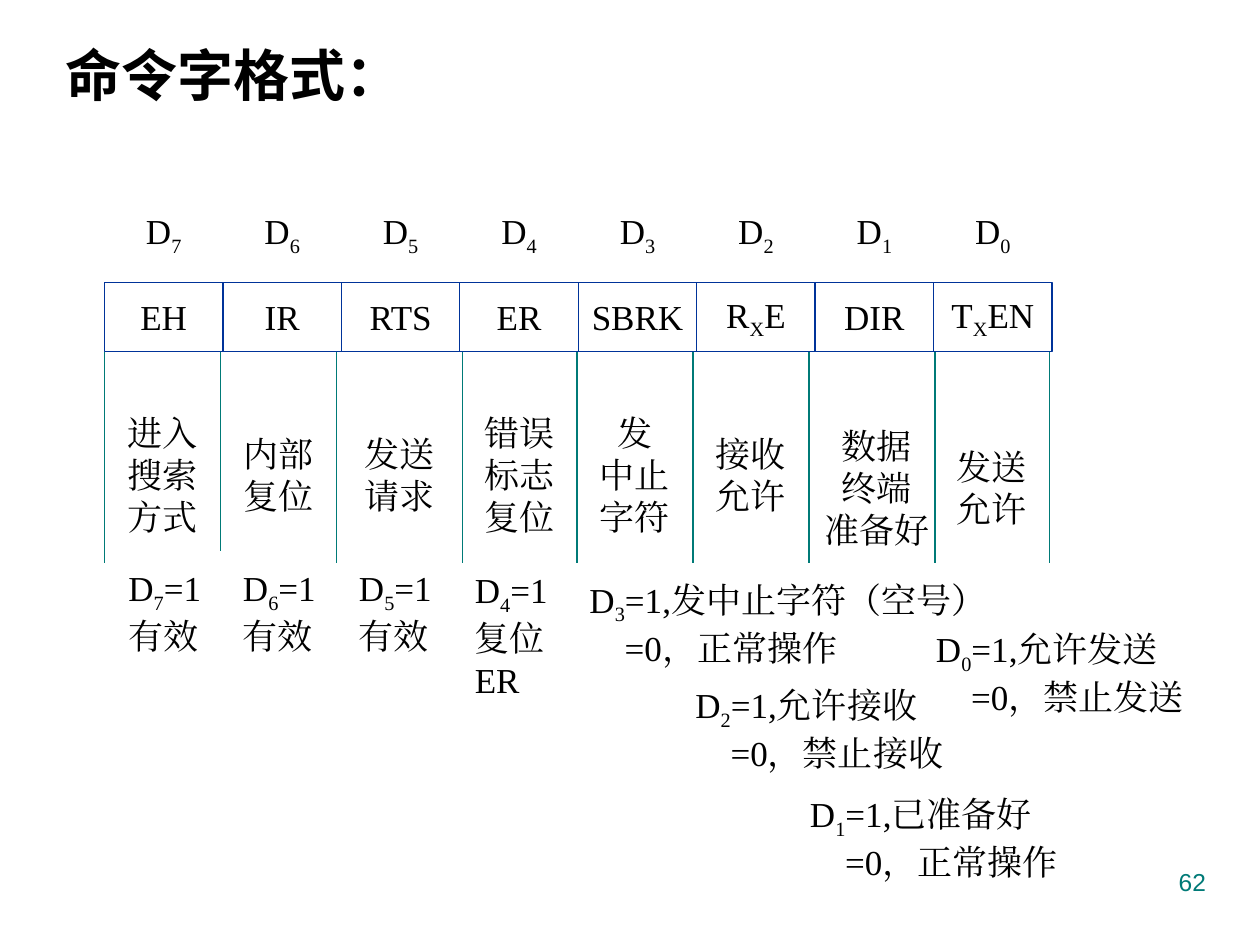
from pptx import Presentation
from pptx.dml.color import RGBColor
from pptx.enum.shapes import MSO_CONNECTOR, MSO_SHAPE
from pptx.enum.text import MSO_ANCHOR, MSO_AUTO_SIZE, PP_ALIGN
from pptx.oxml.ns import qn
from pptx.util import Inches, Pt
from lxml.etree import SubElement

BLACK = RGBColor(0x00, 0x00, 0x00)
BLUE = RGBColor(0x00, 0x33, 0x99)
TEAL = RGBColor(0x00, 0x7A, 0x77)
SERIF = "Times New Roman"
SANS = "Noto Sans CJK SC"

# Register cells
LEFT, CELL_WIDTH, CELL_HEIGHT = 0.83, 0.94, 0.55
BIT_TOP, CELL_TOP = 1.58, 2.24
FIELDS = ["EH", "IR", "RTS", "ER", "SBRK", "R_XE", "DIR", "T_XEN"]

# Separators below the register: x and lower end
SEPARATOR_TOP = 2.79
SEPARATORS = [(0.83, 4.47), (1.75, 4.37), (2.67, 4.47), (3.67, 4.47), (4.58, 4.47),
              (5.5, 4.47), (6.42, 4.47), (7.42, 4.47), (8.33, 4.47)]

# Meaning of each bit: left, top, lines
MEANINGS = [
    (1.0, 3.27, ["进入", "搜索", "方式"]),
    (1.92, 3.27, ["内部", "复位"]),
    (2.88, 3.27, ["发送", "请求"]),
    (3.83, 3.27, ["错误", "标志", "复位"]),
    (4.75, 3.27, ["发", "中止", "字符"]),
    (5.67, 3.27, ["接收", "允许"]),
    (6.67, 3.37, ["数据", "终端", "准备好"]),
    (7.58, 3.37, ["发送", "允许"]),
]

# Values of each bit: left, top, width, height, lines
VALUES = [
    (0.92, 4.55, 0.75, 0.61, ["D_7=1", "有效"]),
    (1.83, 4.55, 0.75, 0.61, ["D_6=1", "有效"]),
    (2.75, 4.55, 0.75, 0.61, ["D_5=1", "有效"]),
    (3.67, 4.64, 0.75, 0.79, ["D_4=1", "复位", "ER"]),
    (4.58, 4.64, 0.75, 0.61, ["D_3=1,发中止字符（空号）", "=0，正常操作"]),
    (5.42, 5.43, 1.92, 0.7, ["D_2=1,允许接收", "=0，禁止接收"]),
    (7.33, 4.99, 1.92, 0.7, ["D_0=1,允许发送", "=0，禁止发送"]),
    (6.33, 6.3, 1.92, 0.7, ["D_1=1,已准备好", "=0，正常操作"]),
]


def add_span(para, text, size=20, font=SERIF, color=BLACK, bold=False, subscript=False):
    span = para.add_run()
    span.text = text
    span.font.size = Pt(size)
    span.font.name = font
    span.font.bold = bold
    span.font.color.rgb = color
    properties = span._r.get_or_add_rPr()
    SubElement(properties, qn("a:ea")).set("typeface", font)
    if subscript:
        properties.set("baseline", "-25000")


def write_lines(frame, lines, align=PP_ALIGN.LEFT, anchor=MSO_ANCHOR.MIDDLE,
                wrap=False, **style):
    """Fill a text frame; the letter after an underscore becomes a subscript."""
    frame.word_wrap = wrap
    frame.auto_size = MSO_AUTO_SIZE.NONE
    frame.vertical_anchor = anchor
    for number, line in enumerate(lines):
        para = frame.paragraphs[0] if number == 0 else frame.add_paragraph()
        para.alignment = align
        if line.startswith("="):  # stands under the equals sign above
            properties = para._p.get_or_add_pPr()
            properties.set("marL", str(Inches(0.28)))
            properties.set("indent", "0")
        normal, *marked = line.split("_")
        add_span(para, normal, **style)
        for part in marked:
            add_span(para, part[0], subscript=True, **style)
            if part[1:]:
                add_span(para, part[1:], **style)


def add_text(page, left, top, width, height, lines, **style):
    box = page.shapes.add_textbox(Inches(left), Inches(top), Inches(width), Inches(height))
    write_lines(box.text_frame, lines, **style)


def add_cell(page, left, top, text):
    cell = page.shapes.add_shape(MSO_SHAPE.RECTANGLE, Inches(left), Inches(top),
                                 Inches(CELL_WIDTH), Inches(CELL_HEIGHT))
    cell.shadow.inherit = False
    cell.fill.background()
    cell.line.color.rgb = BLUE
    cell.line.width = Pt(0.75)
    write_lines(cell.text_frame, [text], align=PP_ALIGN.CENTER)


def add_separator(page, x, bottom):
    line = page.shapes.add_connector(MSO_CONNECTOR.STRAIGHT, Inches(x), Inches(SEPARATOR_TOP),
                                     Inches(x), Inches(bottom))
    line.line.color.rgb = TEAL
    line.line.width = Pt(0.75)
    SubElement(line._element.spPr, qn("a:effectLst"))


def set_title(page, text):
    title = page.shapes.title
    title.left, title.top = Inches(0.42), Inches(0.33)
    title.width, title.height = Inches(9.58), Inches(0.58)
    write_lines(title.text_frame, [text], anchor=MSO_ANCHOR.TOP, wrap=True,
                size=32, font=SANS, bold=True)
    para = title.text_frame.paragraphs[0]
    para.line_spacing = 0.9
    para.space_before = Pt(8)


def main():
    deck = Presentation()
    deck.slide_width, deck.slide_height = Inches(10), Inches(7.5)
    page = deck.slides.add_slide(deck.slide_layouts[5])
    set_title(page, "命令字格式：")

    # Register with bit numbers above
    for column, field in enumerate(FIELDS):
        left = LEFT + column * CELL_WIDTH
        add_cell(page, left, CELL_TOP, field)
        add_text(page, left, BIT_TOP, CELL_WIDTH, CELL_HEIGHT, [f"D_{7 - column}"],
                 align=PP_ALIGN.CENTER)

    # Explanations below
    for x, bottom in SEPARATORS:
        add_separator(page, x, bottom)
    for left, top, lines in MEANINGS:
        add_text(page, left, top, 0.58, 0.99, lines, align=PP_ALIGN.CENTER)
    for left, top, width, height, lines in VALUES:
        add_text(page, left, top, width, height, lines)

    # Page number
    add_text(page, 7.17, 6.83, 2.5, 0.52, ["62"], align=PP_ALIGN.RIGHT,
             anchor=MSO_ANCHOR.TOP, wrap=True, size=14, font="Arial", color=TEAL)
    deck.save("out.pptx")


if __name__ == "__main__":
    main()
